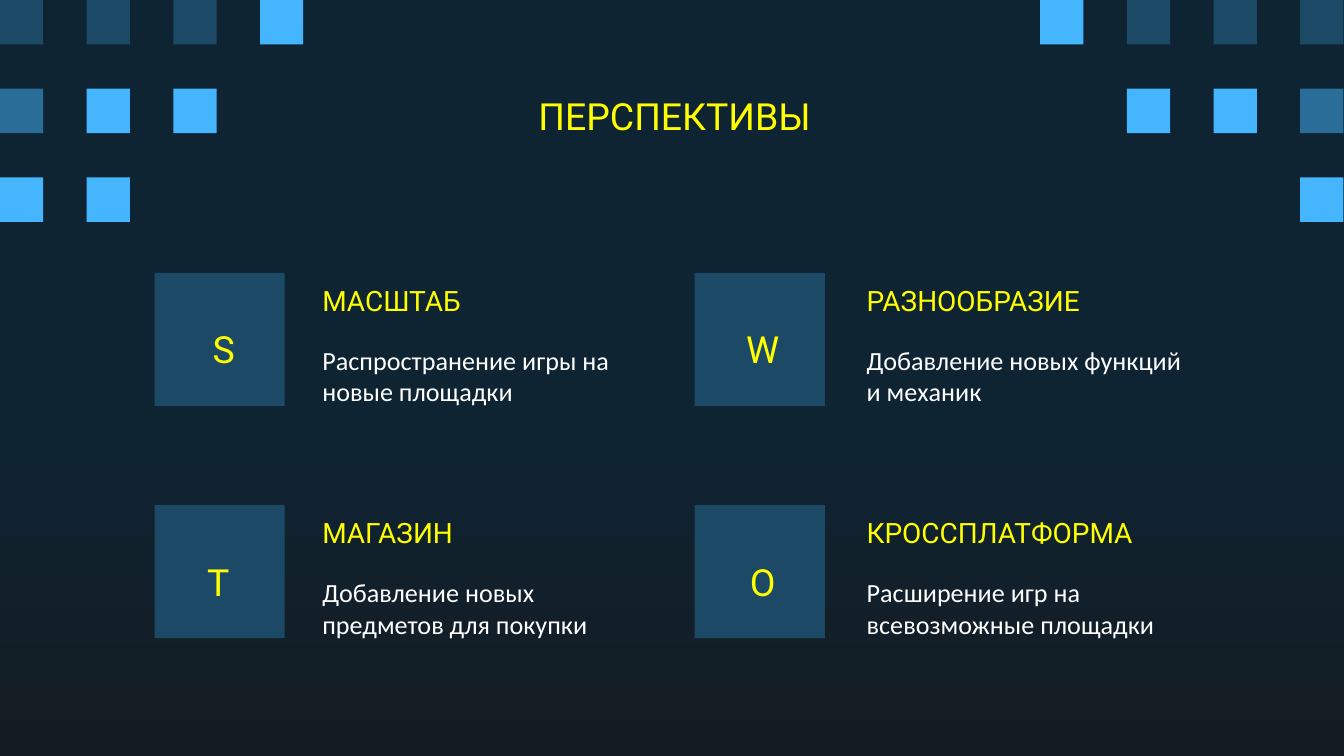
from dataclasses import dataclass

from pptx import Presentation
from pptx.dml.color import RGBColor
from pptx.enum.shapes import MSO_SHAPE
from pptx.enum.text import MSO_ANCHOR, PP_ALIGN
from pptx.util import Pt

RECT = MSO_SHAPE.RECTANGLE
TOP, MIDDLE = MSO_ANCHOR.TOP, MSO_ANCHOR.MIDDLE
LEFT, CENTER = PP_ALIGN.LEFT, PP_ALIGN.CENTER


@dataclass(frozen=True)
class Theme:
    back: str = "0E2433"
    back_end: str = "141C21"
    dark: str = "1C4966"
    mid: str = "296D98"
    bright: str = "45B6FE"
    accent: str = "FFFF00"
    body: str = "FFFFFF"
    head_font: str = "Roboto"
    body_font: str = "Calibri"
    title_size: int = 20
    head_size: int = 15
    body_size: int = 14


T = Theme()

# Corner mosaics: one letter per square, a dot for a gap
SHADES = {"d": T.dark, "m": T.mid, "b": T.bright}
LEFT_MOSAIC = ["dddb", "mbb.", "bb.."]
RIGHT_MOSAIC = ["bddd", ".bbm", "...b"]
RIGHT_MOSAIC_X = 557.28
PITCH_X, PITCH_Y = 46.44, 47.52
SQUARE_W, SQUARE_H = 23.2, 23.8

# Cards: letter, letter offset in its tile, heading, description
CARDS = [
    ("S", 17.3, "МАСШТАБ", "Распространение игры на новые площадки"),
    ("W", 16.6, "РАЗНООБРАЗИЕ", "Добавление новых функций и механик"),
    ("T", 14.4, "МАГАЗИН", "Добавление новых предметов для покупки"),
    ("O", 16.6, "КРОССПЛАТФОРМА", "Расширение игр на всевозможные площадки"),
]
TILE_X, TEXT_X = (82.8, 372.2), (165.6, 457.2)
TILE_Y, ROW_STEP = 146.2, 124.4
TILE_W, TILE_H = 69.8, 71.3
TITLE_INSETS = (3.6, 7.2, 0, 7.2)
CARD_INSETS = (7.2, 7.2, 7.2, 7.2)


def add_background(s):
    fill = s.background.fill
    fill.gradient()
    fill.gradient_angle = 270
    stops = ((0.56, T.back), (1, T.back_end))
    for stop, (position, color) in zip(fill.gradient_stops, stops):
        stop.position = position
        stop.color.rgb = RGBColor.from_string(color)


def add_block(s, x, y, w, h, color):
    sp = s.shapes.add_shape(RECT, Pt(x), Pt(y), Pt(w), Pt(h))
    sp.shadow.inherit = False
    sp.fill.solid()
    sp.fill.fore_color.rgb = RGBColor.from_string(color)
    sp.line.fill.background()


def add_mosaic(s, x, rows):
    for i, row in enumerate(rows):
        for j, shade in enumerate(row):
            if shade in SHADES:
                add_block(s, x + j * PITCH_X, i * PITCH_Y,
                          SQUARE_W, SQUARE_H, SHADES[shade])


def add_text(s, x, y, w, h, text, font, size, color, insets, anchor, align):
    tf = s.shapes.add_textbox(Pt(x), Pt(y), Pt(w), Pt(h)).text_frame
    tf.word_wrap = True
    tf.vertical_anchor = anchor
    (tf.margin_left, tf.margin_top,
     tf.margin_right, tf.margin_bottom) = map(Pt, insets)
    p = tf.paragraphs[0]
    p.text = text
    p.alignment = align
    p.font.name = font
    p.font.size = Pt(size)
    p.font.color.rgb = RGBColor.from_string(color)


def add_title(s, x, y, w, h, text):
    add_text(s, x, y, w, h, text, T.head_font, T.title_size, T.accent,
             TITLE_INSETS, TOP, CENTER)


def add_card(s, row, col, letter, offset, heading, description):
    x, y, text_x = TILE_X[col], TILE_Y + row * ROW_STEP, TEXT_X[col]
    add_block(s, x, y, TILE_W, TILE_H, T.dark)
    add_title(s, x + offset, y + 21.6, 36, 28.8, letter)
    add_text(s, text_x, y - 3.2, 231, 35.3, heading, T.head_font,
             T.head_size, T.accent, CARD_INSETS, MIDDLE, LEFT)
    add_text(s, text_x, y + 32.4, 190.8, 45.4, description, T.body_font,
             T.body_size, T.body, CARD_INSETS, MIDDLE, LEFT)


def main():
    prs = Presentation()
    prs.slide_width, prs.slide_height = Pt(720), Pt(405)
    s = prs.slides.add_slide(prs.slide_layouts[6])

    # Backdrop
    add_background(s)
    add_mosaic(s, 0, LEFT_MOSAIC)
    add_mosaic(s, RIGHT_MOSAIC_X, RIGHT_MOSAIC)

    # Title and the two-by-two cards
    add_title(s, 56.2, 42.5, 607, 25.9, "ПЕРСПЕКТИВЫ")
    for i, card in enumerate(CARDS):
        add_card(s, *divmod(i, 2), *card)

    prs.save("out.pptx")


if __name__ == "__main__":
    main()
